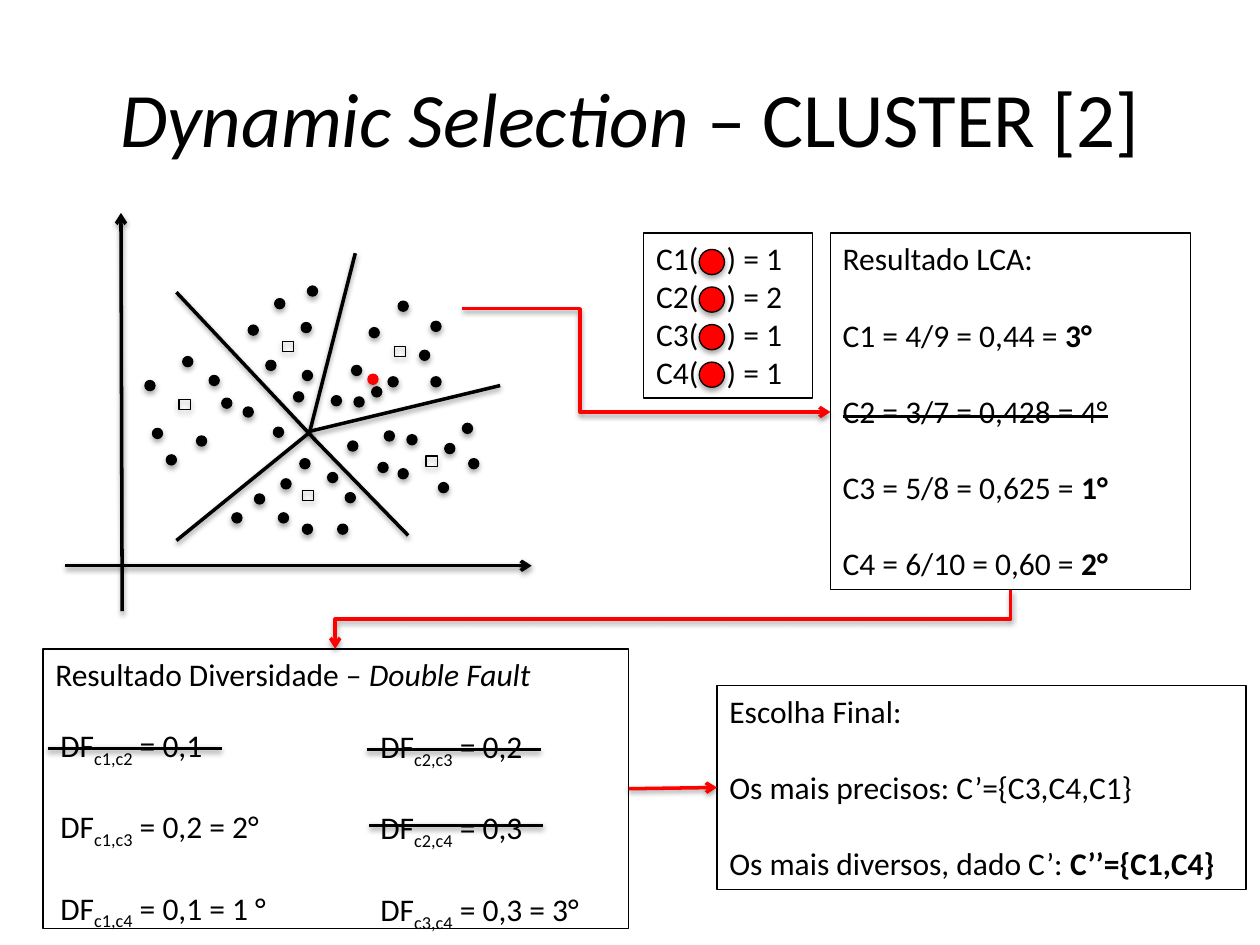
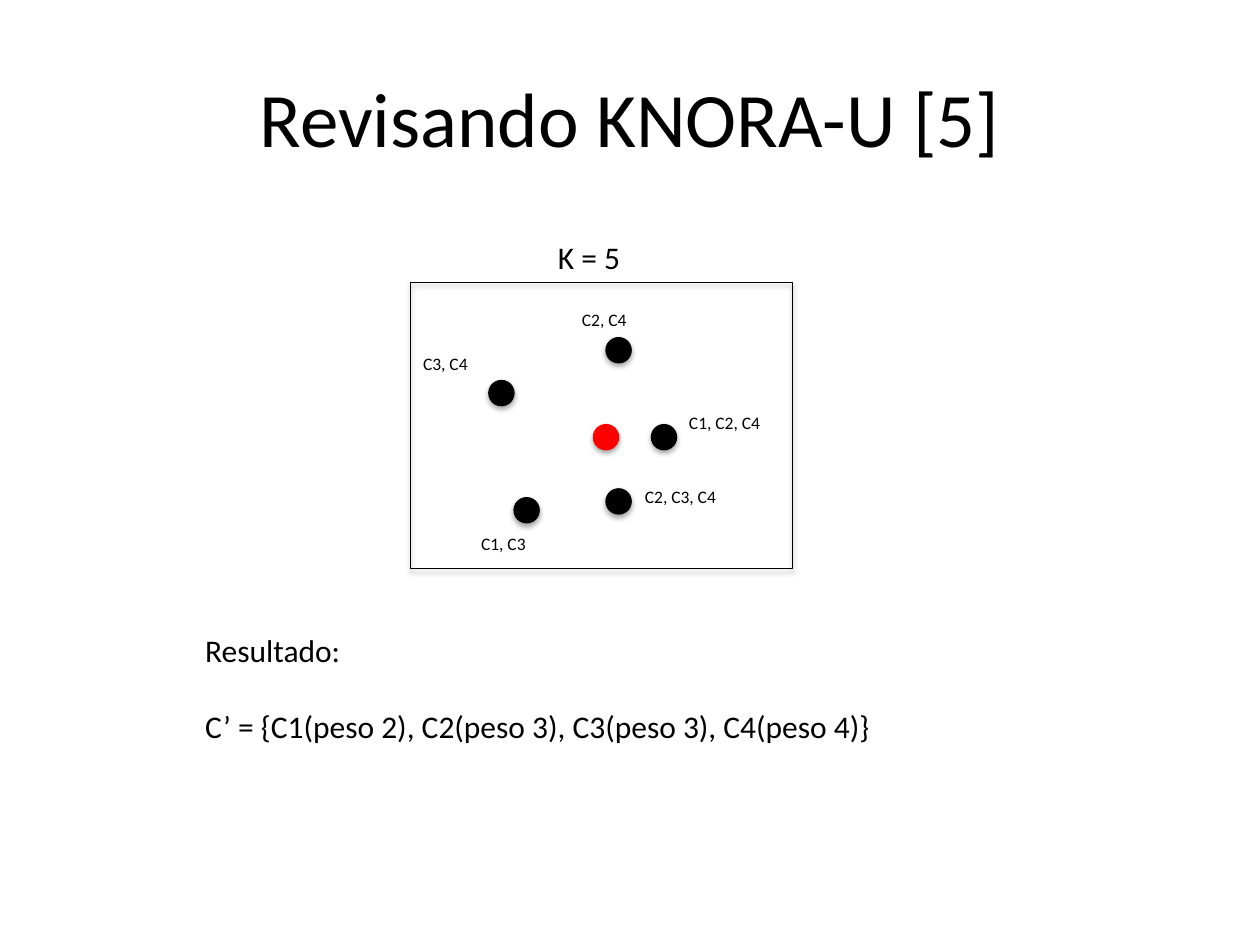
from lxml.etree import SubElement
from pptx import Presentation
from pptx.dml.color import RGBColor
from pptx.enum.shapes import MSO_CONNECTOR, MSO_SHAPE
from pptx.enum.text import MSO_ANCHOR, PP_ALIGN
from pptx.oxml.ns import qn
from pptx.util import Inches, Pt

COLORS = {"ink": "000000", "query": "FF0000", "paper": "FFFFFF"}
FONT = "Calibri"
BODY, LABEL, TITLE = 18, 10, 44
BLANK_LINE = 22  # points between separated lines of body text
CELL = Inches(10) // 100  # the slide is a grid of 100 columns and 75 rows


def cells(*values):
    return [round(v * CELL) for v in values]


def color(name):
    return RGBColor.from_string(COLORS[name])


def set_shadow(spPr, alpha, dist):
    for old in spPr.findall(qn("a:effectLst")):
        spPr.remove(old)
    effects = SubElement(spPr, qn("a:effectLst"))
    shadow = SubElement(effects, qn("a:outerShdw"), blurRad=str(Pt(3.1)),
                        dist=str(Pt(dist)), dir="5400000", rotWithShape="0")
    ink = SubElement(shadow, qn("a:srgbClr"), val=COLORS["ink"])
    SubElement(ink, qn("a:alpha"), val=str(alpha * 1000))


def add_runs(p, runs, size):
    """Add (text, style) runs; style is b, i, strike, sub or empty."""
    for text, style in runs:
        r = p.add_run()
        r.text = text
        r.font.name, r.font.size = FONT, Pt(size)
        r.font.color.rgb = color("ink")
        r.font.bold = style == "b"
        r.font.italic = style == "i"
        if style == "strike":
            r.font._element.set("strike", "sngStrike")
        elif style == "sub":
            r.font._element.set("baseline", "-25000")


def add_text(s, box, paragraphs, size=BODY, gap=0, framed=False):
    sp = s.shapes.add_textbox(*cells(*box))
    tf = sp.text_frame
    tf.word_wrap = True
    if framed:
        sp.line.color.rgb = color("ink")
        sp.line.width = Pt(0.75)
    for i, runs in enumerate(paragraphs):
        p = tf.add_paragraph() if i else tf.paragraphs[0]
        if i:
            p.space_before = Pt(gap)
        add_runs(p, runs, size)
    return tf


def add_mark(s, kind, box, fill=None, line="ink"):
    sp = s.shapes.add_shape(kind, *cells(*box))
    if fill:
        sp.fill.solid()
        sp.fill.fore_color.rgb = color(fill)
    else:
        sp.fill.background()
    sp.line.color.rgb = color(line)
    sp.line.width = Pt(0.75)
    set_shadow(sp._element.spPr, 35, 1.8)


def add_dot(s, x, y, size, fill="ink", line=None):
    add_mark(s, MSO_SHAPE.OVAL, (x, y, size, size), fill, line or fill)


def add_line(s, start, end, name="ink", arrow=False, kind=MSO_CONNECTOR.STRAIGHT):
    c = s.shapes.add_connector(kind, *cells(*start, *end))
    c.line.color.rgb = color(name)
    c.line.width = Pt(2)
    spPr = c._element.spPr
    if arrow:
        SubElement(spPr.find(qn("a:ln")), qn("a:tailEnd"), type="arrow")
    set_shadow(spPr, 38, 1.6)
    return spPr


def add_elbow_across(s, start, end, bend):
    """Red arrow that leaves sideways and turns at a share of its width."""
    spPr = add_line(s, start, end, "query", True, MSO_CONNECTOR.ELBOW)
    guides = spPr.find(qn("a:prstGeom")).get_or_add_avLst()
    SubElement(guides, qn("a:gd"), name="adj1", fmla=f"val {round(bend * 100000)}")


def add_elbow_down(s, start, end):
    """Red arrow that leaves downwards to a lower left end: a quarter turn."""
    (x1, y1), (x2, y2) = start, end
    mid_x, mid_y = (x1 + x2) / 2, (y1 + y2) / 2
    half_w, half_h = (y2 - y1) / 2, (x1 - x2) / 2
    spPr = add_line(s, (mid_x - half_w, mid_y - half_h),
                    (mid_x + half_w, mid_y + half_h),
                    "query", True, MSO_CONNECTOR.ELBOW)
    spPr.find(qn("a:xfrm")).set("rot", "5400000")


def add_title_slide(prs, runs):
    s = prs.slides.add_slide(prs.slide_layouts[5])
    s.background.fill.solid()
    s.background.fill.fore_color.rgb = color("paper")
    title = s.shapes.title
    title.left, title.top, title.width, title.height = cells(5, 3, 90, 12.5)
    tf = title.text_frame
    tf.vertical_anchor = MSO_ANCHOR.MIDDLE
    tf.paragraphs[0].alignment = PP_ALIGN.CENTER
    add_runs(tf.paragraphs[0], runs, TITLE)
    return s


def cluster_plot(s, x, y):
    axes = [((4.7, 32.5), (4.6, 0.9)), ((0.2, 28.9), (37.2, 28.9))]
    borders = [((9, 7.2), (20, 18.9)), ((19.6, 18.3), (9, 26.9)),
               ((19.9, 18.8), (27.4, 26.5)), ((19.3, 18.3), (34.7, 14.6)),
               ((19.6, 18.2), (23.2, 4.1))]
    clusters = {  # centroid: members
        (26.3, 11.5): [(22.9, 13), (25.8, 13.9), (23.1, 15.5), (24.3, 10),
                       (29.2, 13.9), (21.3, 15.4), (24.5, 14.7), (26.6, 7.9),
                       (29.2, 9.5), (28.3, 11.8)],
        (28.8, 20.2): [(22.6, 19), (25.5, 18.2), (27.3, 18.5), (31.7, 17.6),
                       (32.2, 20.4), (30.3, 19.2), (29.8, 22.3), (26.6, 21.2),
                       (25, 20.7)],
        (19, 22.9): [(18.8, 20.4), (22.4, 23.1), (15.2, 23.2), (19, 25.6),
                     (21, 21.5), (17.3, 22), (21.8, 25.6), (13.4, 24.7),
                     (17.1, 24.7)],
        (9.2, 15.7): [(16.7, 17.9), (12.6, 15.6), (14.3, 16.3), (10.6, 18.6),
                      (9.5, 12.3), (11.6, 13.8), (7.1, 18), (6.5, 14.2),
                      (8.2, 20.1)],
        (17.4, 11.1): [(18.3, 15.1), (19, 13.4), (16.1, 12.6), (18.9, 9.6),
                       (14.7, 9.8), (16.8, 7.7), (19.4, 6.7)],
    }
    for lines, arrow in ((axes, True), (borders, False)):
        for (x1, y1), (x2, y2) in lines:
            add_line(s, (x + x1, y + y1), (x + x2, y + y2), arrow=arrow)
    for (cx, cy), members in clusters.items():
        add_mark(s, MSO_SHAPE.RECTANGLE, (x + cx, y + cy, 0.9, 0.8))
        for dx, dy in members:
            add_dot(s, x + dx, y + dy, 0.8)
    add_dot(s, x + 24.2, y + 13.7, 0.8, "query")


def classifier_votes(s, x, y):
    votes = [1, 2, 1, 1]
    tf = add_text(s, (x, y, 13.4, 13.1),
                  [[(f"C{i}(\t) = {v}", "")] for i, v in enumerate(votes, 1)],
                  framed=True)
    for i, p in enumerate(tf.paragraphs):
        tabs = SubElement(p._p.get_or_add_pPr(), qn("a:tabLst"))
        SubElement(tabs, qn("a:tab"), pos=str(cells(5.6)[0]), algn="l")
        add_dot(s, x + 4.4, y + 1.3 + 2.98 * i, 2, "query", "ink")


def accuracy_result(s, box):
    add_text(s, box, [
        [("Resultado LCA:", "")],
        [("C1 = 4/9 = 0,44 = ", ""), ("3°", "b")],
        [("C2 = 3/7 = 0,428 = 4°", "strike")],
        [("C3 = 5/8 = 0,625 = ", ""), ("1°", "b")],
        [("C4 = 6/10 = 0,60 = ", ""), ("2°", "b")],
    ], gap=BLANK_LINE, framed=True)


def diversity_result(s, x, y):
    add_text(s, (x, y, 46.5, 22.2),
             [[("Resultado Diversidade – ", ""), ("Double Fault", "i")]], framed=True)
    columns = [
        (0.4, 5.6, [("c1,c2", "= 0,1"), ("c1,c3", "= 0,2 = 2°"),
                    ("c1,c4", "= 0,1 = 1 °")]),
        (25.8, 5.7, [("c2,c3", "= 0,2"), ("c2,c4", "= 0,3"),
                     ("c3,c4", "= 0,3 = 3°")]),
    ]
    for dx, dy, pairs in columns:
        add_text(s, (x + dx, y + dy, 21.5, 16.2),
                 [[("DF", ""), (pair, "sub"), (f" {value}", "")]
                  for pair, value in pairs], gap=BLANK_LINE)
    for dx, dy in ((0.4, 7.9), (25.7, 8), (25.9, 14)):
        add_line(s, (x + dx, y + dy), (x + dx + 13.8, y + dy))


def final_choice(s, box):
    add_text(s, box, [
        [("Escolha Final:", "")],
        [("Os mais precisos: C’={C3,C4,C1}", "")],
        [("Os mais diversos, dado C’: ", ""), ("C’’={C1,C4}", "b")],
    ], gap=BLANK_LINE, framed=True)


def neighbourhood(s, x, y):
    neighbours = [  # dot, label position, classifiers that are right
        ((15.5, 4.4), (12.6, 1.6), "C2, C4"),
        ((6.2, 7.8), (0, 5.1), "C3, C4"),
        ((19.1, 11.3), (21.1, 9.8), "C1, C2, C4"),
        ((15.5, 16.4), (17.6, 15.7), "C2, C3, C4"),
        ((8.2, 17.1), (4.6, 19.4), "C1, C3"),
    ]
    add_mark(s, MSO_SHAPE.RECTANGLE, (x, y, 30.3, 22.7))
    add_text(s, (x + 10.7, y - 4, 9.1, 4), [[("K = 5", "")]])
    for (dx, dy), (lx, ly), label in neighbours:
        add_dot(s, x + dx, y + dy, 2)
        add_text(s, (x + lx, y + ly, 9.3, 2.7), [[(label, "")]], LABEL)
    add_dot(s, x + 14.5, y + 11.3, 2, "query")


def cluster_slide(prs):
    s = add_title_slide(prs, [("Dynamic Selection", "i"), (" – CLUSTER [2]", "")])
    cluster_plot(s, 5, 16)
    classifier_votes(s, 51.1, 18.5)
    accuracy_result(s, (65.9, 18.5, 28.6, 28.3))
    diversity_result(s, 3.4, 51.5)
    final_choice(s, (56.9, 54.4, 42, 16.2))
    add_elbow_across(s, (36.7, 24.5), (65.9, 32.7), 0.32)
    add_elbow_down(s, (80.2, 46.8), (26.6, 51.5))
    add_line(s, (49.9, 62.6), (56.9, 62.5), "query", True)


def knora_slide(prs):
    s = add_title_slide(prs, [("Revisando KNORA-U [5]", "")])
    neighbourhood(s, 32.6, 22.4)
    add_text(s, (15.3, 49.6, 67.7, 10.1), [
        [("Resultado:", "")],
        [("C’ = {C1(peso 2), C2(peso 3), C3(peso 3), C4(peso 4)}", "")],
    ], gap=BLANK_LINE)


def main():
    prs = Presentation()
    prs.slide_width, prs.slide_height = cells(100, 75)
    cluster_slide(prs)
    knora_slide(prs)
    prs.save("out.pptx")


if __name__ == "__main__":
    main()
